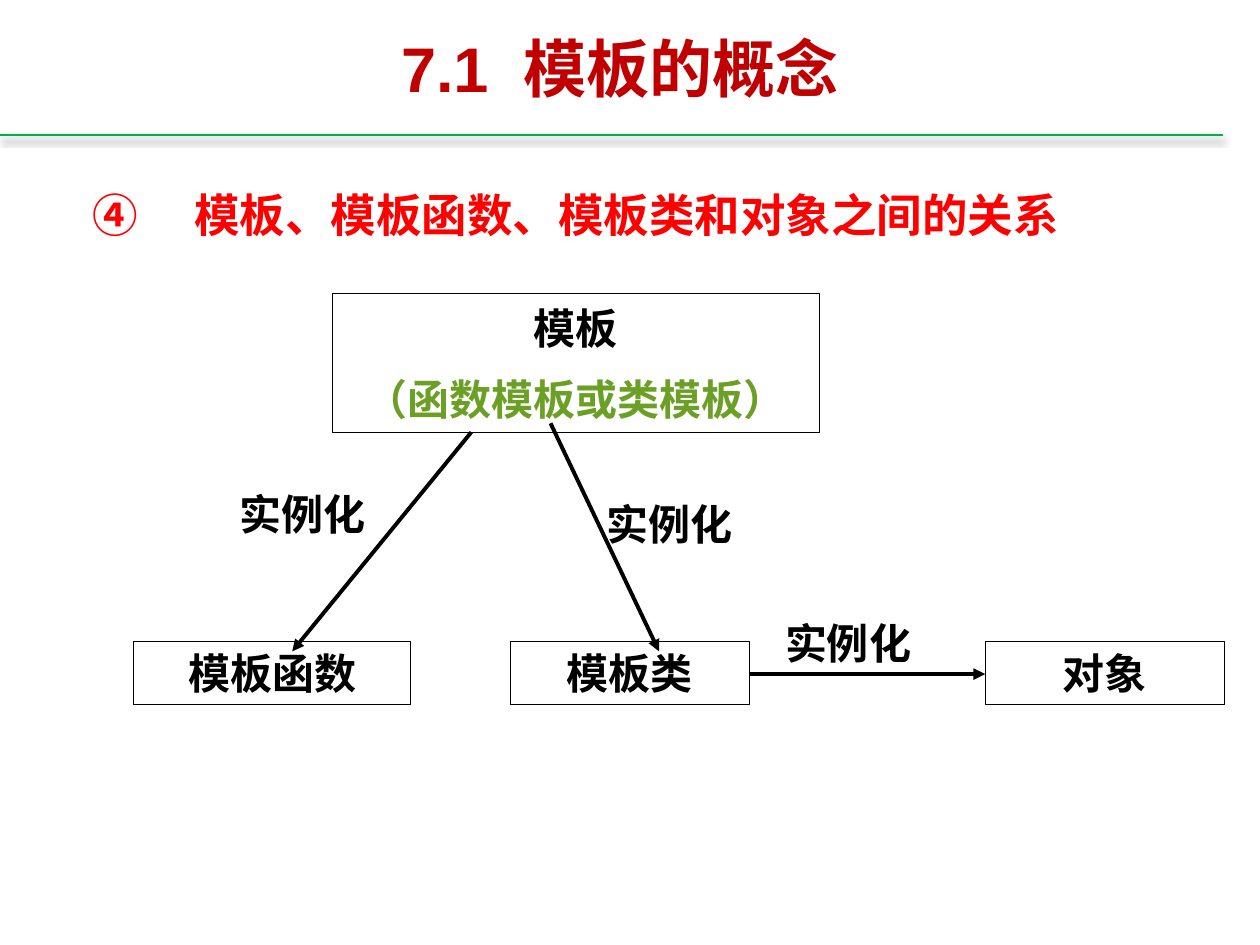
from dataclasses import dataclass

import lxml.etree
import pptx
import pptx.dml.color
import pptx.enum.shapes
import pptx.enum.text
import pptx.oxml.ns
import pptx.util

Pt = pptx.util.Pt
RGB = pptx.dml.color.RGBColor
qn = pptx.oxml.ns.qn
CENTER = pptx.enum.text.PP_ALIGN.CENTER
LEFT = pptx.enum.text.PP_ALIGN.LEFT


@dataclass(frozen=True)
class Theme:
    title: RGB = RGB(0xC0, 0x00, 0x00)
    heading: RGB = RGB(0xFF, 0x00, 0x00)
    ink: RGB = RGB(0x00, 0x00, 0x00)
    accent: RGB = RGB(0x6B, 0x9F, 0x25)
    rule: RGB = RGB(0x00, 0xB0, 0x50)
    title_size: float = 36
    heading_size: float = 26
    node_size: float = 24
    head_font: str = "Arial"
    node_font: str = "Times New Roman"


THEME = Theme()


@dataclass(frozen=True)
class Line:
    text: str
    color: RGB = THEME.ink


@dataclass(frozen=True)
class Node:
    left: float
    top: float
    width: float
    height: float
    lines: tuple[Line, ...]
    outlined: bool = True


@dataclass(frozen=True)
class Arrow:
    x1: float
    y1: float
    x2: float
    y2: float


ROW_TOP, ROW_HEIGHT = 366.4, 36
ROW_MIDDLE = 385.2
LABEL_WIDTH = 158.4
INSTANTIATE = (Line("实例化"),)

NODES = (
    Node(190, 167.8, 278, 79.2, (Line("模板"), Line("（函数模板或类模板）", THEME.accent))),
    Node(76.3, ROW_TOP, LABEL_WIDTH, ROW_HEIGHT, (Line("模板函数"),)),
    Node(291.8, ROW_TOP, 136.4, ROW_HEIGHT, (Line("模板类"),)),
    Node(563, ROW_TOP, 136.4, ROW_HEIGHT, (Line("对象"),)),
    Node(93.6, 275.8, LABEL_WIDTH, ROW_HEIGHT, INSTANTIATE, False),
    Node(303.2, 281.5, LABEL_WIDTH, ROW_HEIGHT, INSTANTIATE, False),
    Node(405.4, 349.4, LABEL_WIDTH, ROW_HEIGHT, INSTANTIATE, False),
)
ARROWS = (
    Arrow(269.3, 247, 167, 372.2),
    Arrow(314.6, 241.9, 376.6, 372.2),
    Arrow(428.2, ROW_MIDDLE, 563, ROW_MIDDLE),
)


def add_run(p, text: str, font: str, size: float, color: RGB) -> None:
    r = p.add_run()
    r.text = text
    r.font.name = font
    r.font.size = Pt(size)
    r.font.bold = True
    r.font.color.rgb = color


def place(sp, left: float, top: float, width: float, height: float) -> None:
    sp.left, sp.top, sp.width, sp.height = map(Pt, (left, top, width, height))
    tf = sp.text_frame
    tf.word_wrap = True
    tf.auto_size = pptx.enum.text.MSO_AUTO_SIZE.NONE
    tf.vertical_anchor = pptx.enum.text.MSO_ANCHOR.MIDDLE


def fill_title(sp) -> None:
    place(sp, 48.2, 4.3, 612, 68.4)
    p = sp.text_frame.paragraphs[0]
    p.alignment = CENTER
    add_run(p, "7.1  模板的概念", THEME.head_font, THEME.title_size, THEME.title)


def fill_body(sp) -> None:
    place(sp, 45.4, 103, 601.2, 38.9)
    p = sp.text_frame.paragraphs[0]
    p.alignment = LEFT
    p.space_before = Pt(0)
    add_run(p, "模板、模板函数、模板类和对象之间的关系",
            THEME.head_font, THEME.heading_size, THEME.heading)
    props = p._p.get_or_add_pPr()
    props.set("marL", str(Pt(58.3)))
    props.set("indent", str(-Pt(58.3)))
    lxml.etree.SubElement(props, qn("a:buAutoNum"), type="circleNumDbPlain", startAt="4")


def add_node(s, node: Node) -> None:
    frame = (node.left, node.top, node.width, node.height)
    bounds = map(Pt, frame)
    if node.outlined:
        sp = s.shapes.add_shape(pptx.enum.shapes.MSO_SHAPE.RECTANGLE, *bounds)
        sp.shadow.inherit = False
        sp.fill.background()
        sp.line.color.rgb = THEME.ink
        sp.line.width = Pt(0.25)
    else:
        sp = s.shapes.add_textbox(*bounds)
    place(sp, *frame)
    tf = sp.text_frame
    for i, line in enumerate(node.lines):
        p = tf.add_paragraph() if i else tf.paragraphs[0]
        p.alignment = CENTER
        p.space_before = Pt(THEME.node_size / 2 if i else 0)
        add_run(p, line.text, THEME.node_font, THEME.node_size, line.color)


def add_line(s, ends: Arrow, color: RGB, width: float):
    points = map(Pt, (ends.x1, ends.y1, ends.x2, ends.y2))
    line = s.shapes.add_connector(pptx.enum.shapes.MSO_CONNECTOR.STRAIGHT, *points)
    line.line.color.rgb = color
    line.line.width = Pt(width)
    effects = lxml.etree.SubElement(line._element.spPr, qn("a:effectLst"))
    return line, effects


def add_rule(s) -> None:
    _, effects = add_line(s, Arrow(0, 77, 699, 77), THEME.rule, 1.25)
    shadow = lxml.etree.SubElement(
        effects, qn("a:outerShdw"), blurRad=str(Pt(4)), dist=str(Pt(2.5)),
        dir="5400000", rotWithShape="0")
    color = lxml.etree.SubElement(shadow, qn("a:srgbClr"), val=str(THEME.ink))
    lxml.etree.SubElement(color, qn("a:alpha"), val="47000")


def add_arrow(s, arrow: Arrow) -> None:
    line, _ = add_line(s, arrow, THEME.ink, 2.25)
    lxml.etree.SubElement(line.line._get_or_add_ln(), qn("a:tailEnd"), type="triangle")


def main() -> None:
    prs = pptx.Presentation()
    prs.slide_width, prs.slide_height = Pt(720), Pt(540)
    s = prs.slides.add_slide(prs.slide_layouts[1])
    add_rule(s)
    fill_title(s.shapes.title)
    for node in NODES:
        add_node(s, node)
    for arrow in ARROWS:
        add_arrow(s, arrow)
    fill_body(s.placeholders[1])
    prs.save("out.pptx")


if __name__ == "__main__":
    main()
